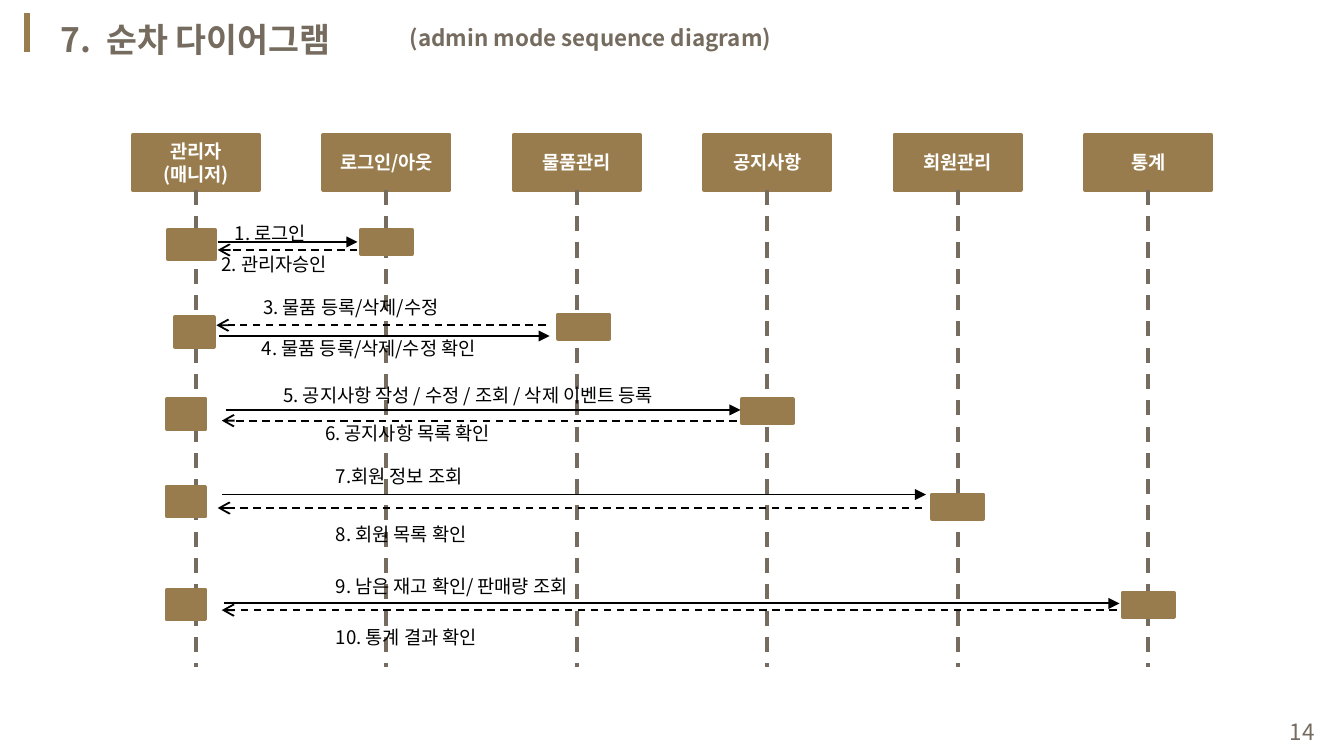
from dataclasses import dataclass

from lxml.etree import SubElement
from pptx import Presentation
from pptx.dml.color import RGBColor
from pptx.enum.dml import MSO_LINE
from pptx.enum.shapes import MSO_CONNECTOR, MSO_SHAPE
from pptx.enum.text import MSO_ANCHOR, MSO_AUTO_SIZE, PP_ALIGN
from pptx.oxml.ns import qn
from pptx.util import Inches, Pt

BROWN = RGBColor(0x98, 0x7C, 0x4D)
TAUPE = RGBColor(0x75, 0x6B, 0x5F)
BLACK = RGBColor(0, 0, 0)
WHITE = RGBColor(255, 255, 255)
FONT = "Noto Sans CJK KR"

WIDTH = Inches(10)
HEIGHT = WIDTH * 9 // 16
# Both axes are measured in hundredths of the slide's width.
FIRST_COLUMN, COLUMN_STEP = 14.58, 14.17
HEAD_TOP, HEAD_W, HEAD_H = 10.03, 9.4, 4.1
LIFELINE_END = 49.6
ACTOR_H, TARGET_W, TARGET_H = 2.2, 3.8, 1.8
LABEL_H = 2.7

PARTICIPANTS = ["관리자\n(매니저)", "로그인/아웃", "물품관리",
                "공지사항", "회원관리", "통계"]


@dataclass(frozen=True)
class Label:
    text: str
    left: float
    top: float
    width: float


@dataclass(frozen=True)
class Arrow:
    start: float
    end: float
    y: float
    reply: bool = False


@dataclass(frozen=True)
class Exchange:
    """Messages between the manager and the participant in one column."""
    column: int
    actor_left: float
    actor_top: float
    target_top: float
    arrows: tuple[Arrow, Arrow]
    labels: tuple[Label, Label]
    actor_w: float = 2.9
    target_shift: float = 0


EXCHANGES = [
    Exchange(1, 12.5, 17.1, 17.1,
             (Arrow(16.2, 26.6, 18), Arrow(26.6, 16.2, 18.6, True)),
             (Label("1. 로그인", 16.5, 16, 9.4),
              Label("2. 관리자승인", 15.5, 18.3, 12.7)), actor_w=3.5),
    Exchange(2, 13, 23.6, 23.4,
             (Arrow(40.6, 16.1, 24.2, True), Arrow(16.3, 40.9, 25)),
             (Label("3. 물품 등록/삭제/수정", 18.6, 21.5, 18.3),
              Label("4. 물품 등록/삭제/수정 확인", 18.5, 24.6, 19.8)),
             target_shift=0.5),
    Exchange(3, 12.4, 29.7, 29.7,
             (Arrow(16.8, 55.1, 30.5), Arrow(54.8, 16.5, 31.3, True)),
             (Label("5. 공지사항 작성 / 수정 / 조회 / 삭제 이벤트 등록",
                    20.1, 28.1, 33.5),
              Label("6. 공지사항 목록 확인", 23.2, 30.9, 30.1))),
    Exchange(4, 12.4, 36.2, 36.8,
             (Arrow(16.5, 68.9, 36.8), Arrow(68.6, 16.2, 37.8, True)),
             (Label("7.회원 정보 조회", 24, 34.1, 13),
              Label("8. 회원 목록 확인", 24, 38.4, 13))),
    Exchange(5, 12.4, 43.9, 44.1,
             (Arrow(16.7, 83.3, 44.9), Arrow(83.1, 16.5, 45.4, True)),
             (Label("9. 남은 재고 확인/ 판매량 조회", 24, 42.3, 22.3),
              Label("10. 통계 결과 확인", 24, 46.1, 21.3))),
]


def u(value: float) -> int:
    """Convert hundredths of the slide's width to EMU."""
    return int(WIDTH * value / 100)


def column_x(column: int) -> float:
    return FIRST_COLUMN + COLUMN_STEP * column


def write(tf, text: str, *, size: float = 10, color: RGBColor = BLACK,
          bold: bool = False, align=PP_ALIGN.LEFT, anchor=MSO_ANCHOR.TOP,
          inset: bool = True) -> None:
    tf.word_wrap = True
    tf.auto_size = MSO_AUTO_SIZE.NONE
    tf.vertical_anchor = anchor
    if not inset:
        tf.margin_left = tf.margin_right = tf.margin_top = tf.margin_bottom = 0
    for i, line in enumerate(text.split("\n")):
        p = tf.paragraphs[0] if i == 0 else tf.add_paragraph()
        p.alignment = align
        r = p.add_run()
        r.text = line
        r.font.name, r.font.size, r.font.bold = FONT, Pt(size), bold
        r.font.color.rgb = color
        r.font._element.set("kern", "0")
        SubElement(r.font._element, qn("a:ea")).set("typeface", FONT)


def add_text(s, text: str, left: float, top: float, width: float,
             height: float, **style) -> None:
    sp = s.shapes.add_textbox(u(left), u(top), u(width), u(height))
    write(sp.text_frame, text, **style)


def add_box(s, left: float, top: float, width: float, height: float,
            text: str = "") -> None:
    sp = s.shapes.add_shape(MSO_SHAPE.RECTANGLE, u(left), u(top),
                            u(width), u(height))
    sp.shadow.inherit = False
    sp.fill.solid()
    sp.fill.fore_color.rgb = BROWN
    sp.line.color.rgb = BROWN
    sp.line.width = Pt(2)
    if text:
        write(sp.text_frame, text, color=WHITE, bold=True, inset=False,
              align=PP_ALIGN.CENTER, anchor=MSO_ANCHOR.MIDDLE)


def add_line(s, x1: float, y1: float, x2: float, y2: float, color: RGBColor,
             width: float, dashed: bool = False, head: str = "") -> None:
    sp = s.shapes.add_connector(MSO_CONNECTOR.STRAIGHT,
                                u(x1), u(y1), u(x2), u(y2))
    sp.line.color.rgb = color
    sp.line.width = Pt(width)
    if dashed:
        sp.line.dash_style = MSO_LINE.DASH
    if head:
        SubElement(sp.line._get_or_add_ln(), qn("a:tailEnd")).set("type", head)
    SubElement(sp._element.spPr, qn("a:effectLst"))


def add_participant(s, column: int, name: str) -> None:
    x = column_x(column)
    add_box(s, x - HEAD_W / 2, HEAD_TOP, HEAD_W, HEAD_H, name)
    add_line(s, x, HEAD_TOP + HEAD_H, x, LIFELINE_END, TAUPE, 2, dashed=True)


def add_exchange(s, e: Exchange) -> None:
    add_box(s, e.actor_left, e.actor_top, e.actor_w, ACTOR_H)
    add_box(s, column_x(e.column) - TARGET_W / 2 + e.target_shift,
            e.target_top, TARGET_W, TARGET_H)
    for a in e.arrows:
        add_line(s, a.start, a.y, a.end, a.y, BLACK, 1, dashed=a.reply,
                 head="arrow" if a.reply else "triangle")
    for label in e.labels:
        add_text(s, label.text, label.left, label.top, label.width, LABEL_H)


def add_heading(s) -> None:
    add_line(s, 2, 1, 2, 3.9, BROWN, 3)
    title = s.shapes.title
    title.left, title.top, title.width, title.height = map(
        u, (3.5, 0.9, 32.1, 4))
    write(title.text_frame, "7.  순차 다이어그램", size=18, color=TAUPE, bold=True)
    add_text(s, "(admin mode sequence diagram)", 29.5, 1.3, 33.1, 3,
             size=12, color=TAUPE, bold=True)
    add_text(s, "14", 75.5, 52.9, 23.3, 3, size=12, color=TAUPE,
             align=PP_ALIGN.RIGHT, anchor=MSO_ANCHOR.MIDDLE)


def main() -> None:
    prs = Presentation()
    prs.slide_width, prs.slide_height = WIDTH, HEIGHT
    s = prs.slides.add_slide(prs.slide_layouts[5])
    add_heading(s)
    for column, name in enumerate(PARTICIPANTS):
        add_participant(s, column, name)
    for exchange in EXCHANGES:
        add_exchange(s, exchange)
    prs.save("out.pptx")


if __name__ == "__main__":
    main()
